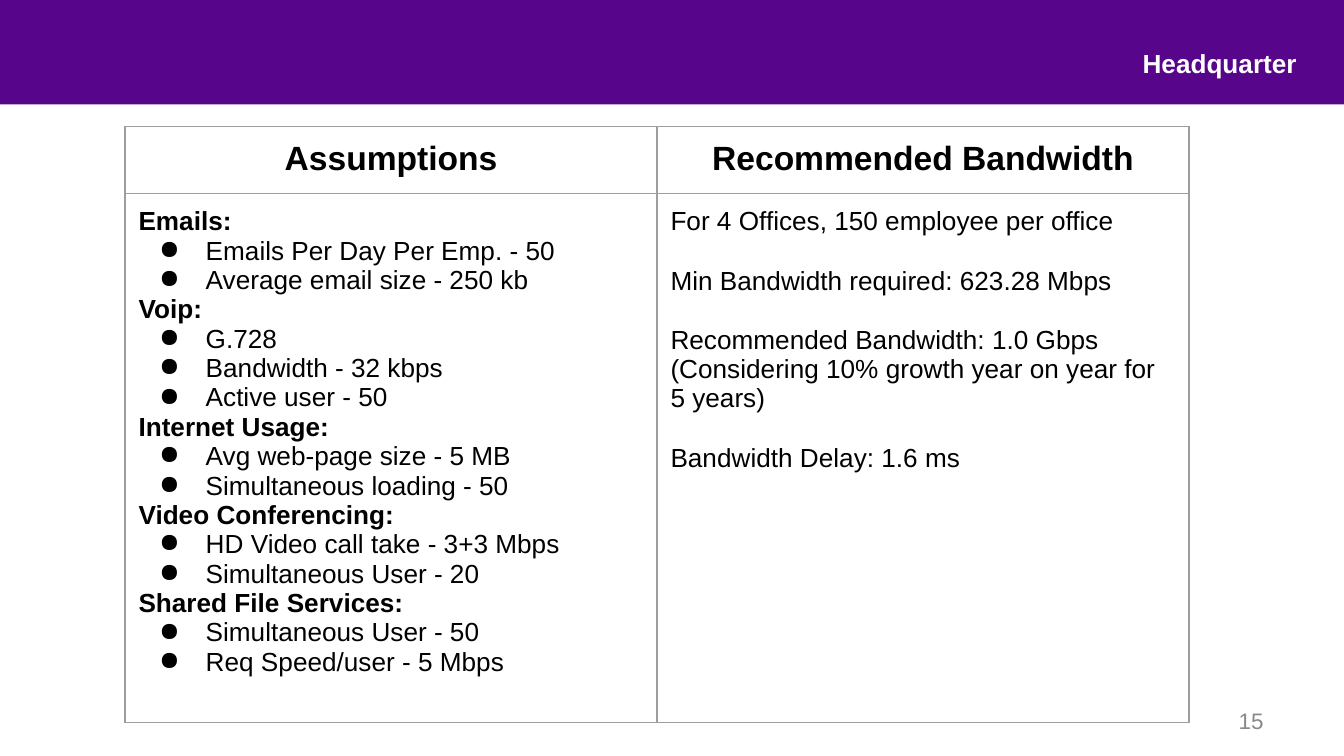
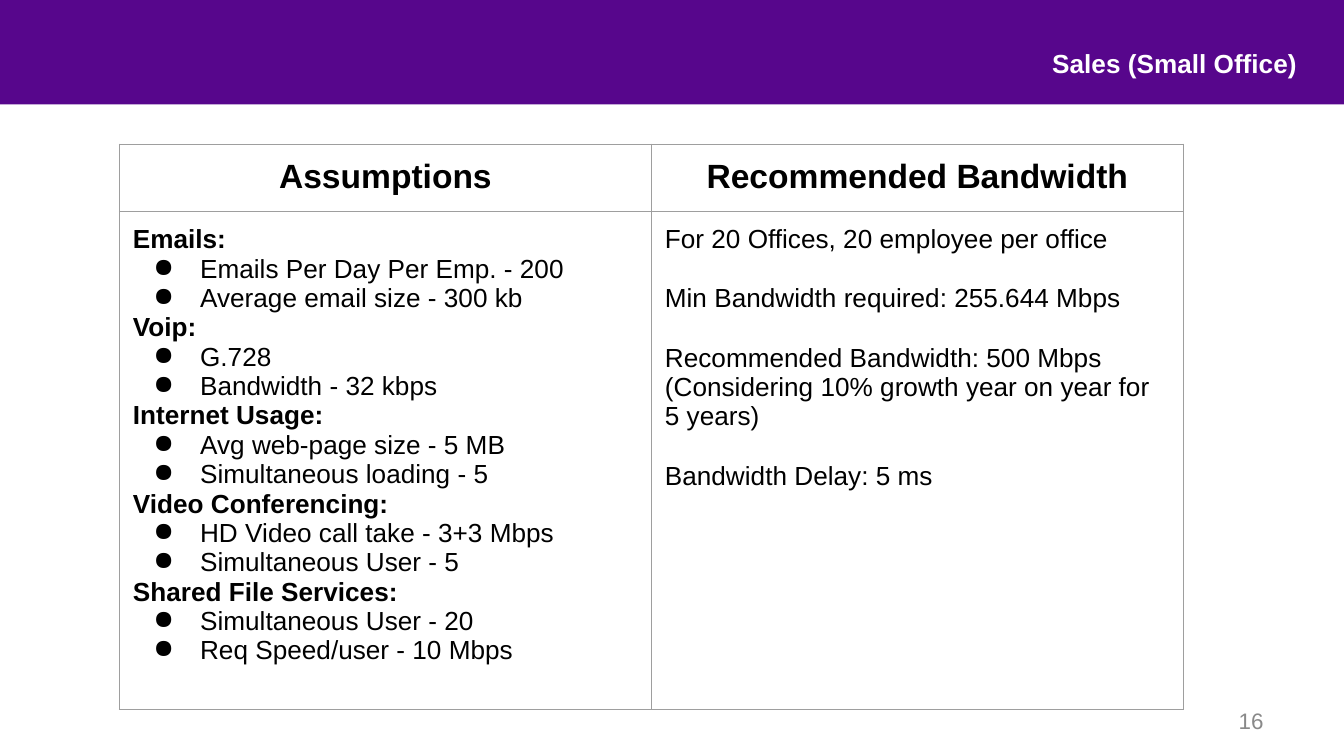
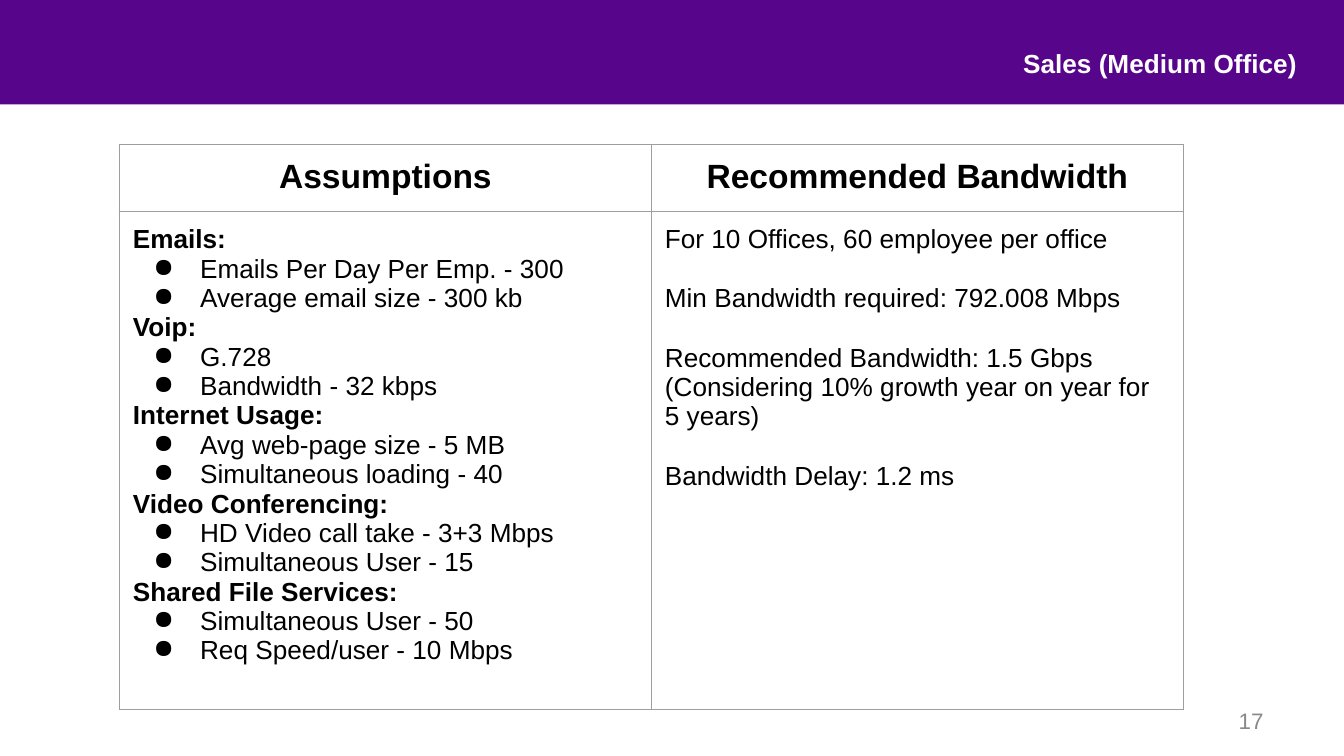
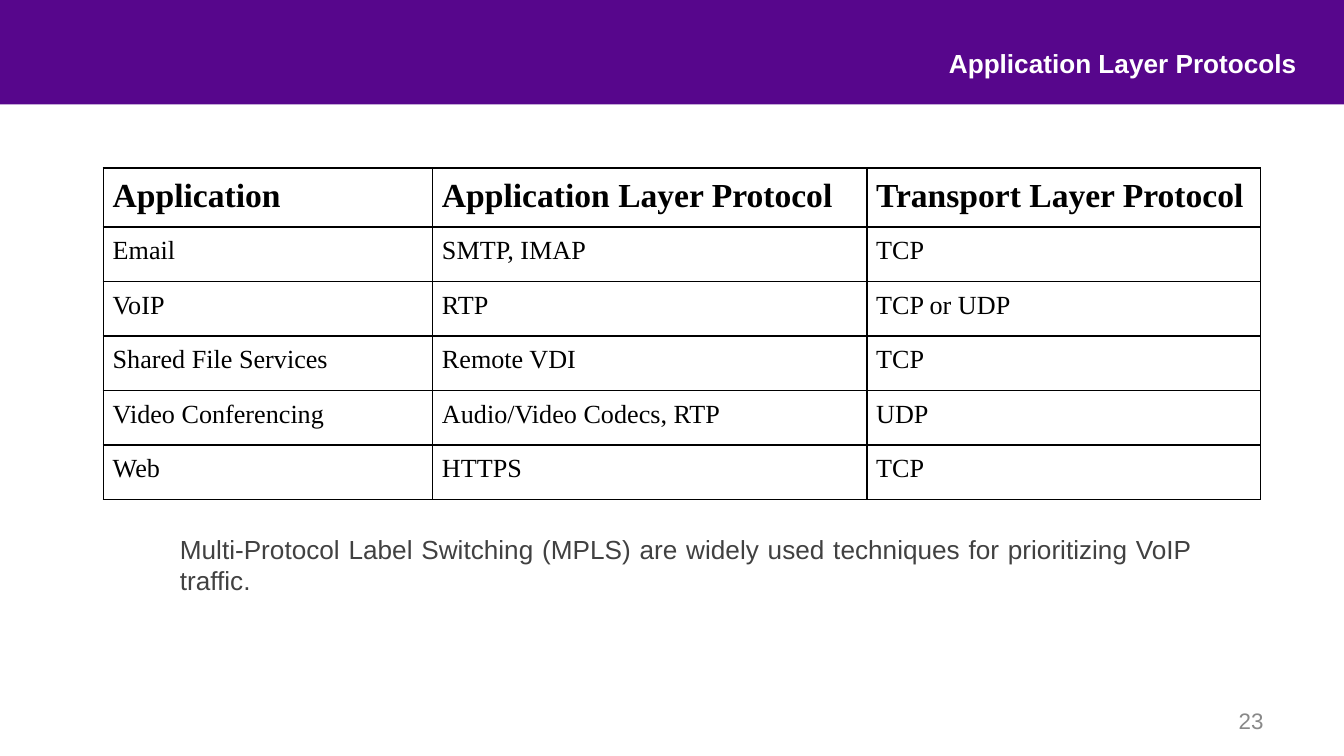
from lxml import etree
from pptx import Presentation
from pptx.dml import color as c
from pptx.enum import shapes, text
from pptx.oxml import ns
from pptx.util import Pt

PURPLE, WHITE, BLACK = "57068C", "FFFFFF", "000000"
NUMBER_GREY, NOTE_GREY, BORDER_GREY = "898989", "414141", "9E9E9E"
LEFT, CENTER = text.PP_ALIGN.LEFT, text.PP_ALIGN.CENTER
RIGHT, JUSTIFY = text.PP_ALIGN.RIGHT, text.PP_ALIGN.JUSTIFY

# Text styles: font, size, bold, colour, alignment, space before
STYLES = {
    "title": ("Arial", 14, True, WHITE, RIGHT, 0),
    "number": ("Arial", 12, False, NUMBER_GREY, RIGHT, 0),
    "note": ("Arial", 14, False, NOTE_GREY, JUSTIFY, 0),
    "header": ("Arial", 18, True, BLACK, CENTER, 0),
    "section": ("Arial", 14, True, BLACK, LEFT, 0),
    "bullet": ("Arial", 14, False, BLACK, LEFT, 0),
    "plain": ("Arial", 14, False, BLACK, LEFT, 0),
    "spaced": ("Arial", 14, False, BLACK, LEFT, 16),
    "protocol header": ("Times New Roman", 18, True, BLACK, JUSTIFY, 0),
    "protocol": ("Times New Roman", 14, False, BLACK, JUSTIFY, 0),
}


def rgb(hex_string):
    return c.RGBColor.from_string(hex_string)


def write(frame, lines, margin_x, margin_y, anchor=text.MSO_ANCHOR.TOP):
    """Fill a text frame or table cell with (style, text) lines."""
    frame_format = {"margin_left": Pt(margin_x), "margin_right": Pt(margin_x),
                    "margin_top": Pt(margin_y), "margin_bottom": Pt(margin_y),
                    "vertical_anchor": anchor, "word_wrap": True}
    for name, value in frame_format.items():
        setattr(frame, name, value)
    text_frame = getattr(frame, "text_frame", frame)
    for index, (style, words) in enumerate(lines):
        paragraph = text_frame.paragraphs[0] if index == 0 else text_frame.add_paragraph()
        font_name, size, bold, color, alignment, space = STYLES[style]
        paragraph.alignment = alignment
        paragraph.space_before = Pt(space)
        run = paragraph.add_run()
        run.text = words
        for name, value in {"name": font_name, "size": Pt(size), "bold": bold}.items():
            setattr(run.font, name, value)
        run.font.color.rgb = rgb(color)
        if style == "bullet":
            properties = paragraph._p.get_or_add_pPr()
            properties.set("marL", str(Pt(36)))
            properties.set("indent", str(-Pt(25)))
            bullet_color = etree.SubElement(properties, ns.qn("a:buClr"))
            etree.SubElement(bullet_color, ns.qn("a:srgbClr"), val=BLACK)
            etree.SubElement(properties, ns.qn("a:buChar"), char="●")


# Office slides: title, number, table place, assumptions, recommendation
offices = [
    ("Headquarter", 15, (67, 67.7),
     (50, 250, ["Active user - 50"], 50, 20, 50, 5),
     (4, 150, "623.28 Mbps", "1.0 Gbps", "1.6 ms")),
    ("Sales (Small Office)", 16, (64, 77.3),
     (200, 300, [], 5, 5, 20, 10),
     (20, 20, "255.644 Mbps", "500 Mbps", "5 ms")),
    ("Sales (Medium Office)", 17, (64, 77.3),
     (300, 300, [], 40, 15, 50, 10),
     (10, 60, "792.008 Mbps", "1.5 Gbps", "1.2 ms")),
]

pages = []
for title, number, place, assumptions, recommendation in offices:
    emails, email_size, voip_users, loading, callers, file_users, speed = assumptions
    count, employees, minimum, recommended, delay = recommendation
    sections = {
        "Emails:": [f"Emails Per Day Per Emp. - {emails}",
                    f"Average email size - {email_size} kb"],
        "Voip:": ["G.728", "Bandwidth - 32 kbps", *voip_users],
        "Internet Usage:": ["Avg web-page size - 5 MB", f"Simultaneous loading - {loading}"],
        "Video Conferencing:": ["HD Video call take - 3+3 Mbps",
                                f"Simultaneous User - {callers}"],
        "Shared File Services:": [f"Simultaneous User - {file_users}",
                                  f"Req Speed/user - {speed} Mbps"],
    }
    assumption_lines = []
    for section, items in sections.items():
        assumption_lines.append(("section", section))
        assumption_lines += [("bullet", item) for item in items]
    bandwidth_lines = [
        ("plain", f"For {count} Offices, {employees} employee per office"),
        ("spaced", f"Min Bandwidth required: {minimum}"),
        ("spaced", f"Recommended Bandwidth: {recommended}"),
        ("plain", "(Considering 10% growth year on year for 5 years)"),
        ("spaced", f"Bandwidth Delay: {delay}"),
    ]
    rows = [[[("header", "Assumptions")], [("header", "Recommended Bandwidth")]],
            [assumption_lines, bandwidth_lines]]
    pages.append((title, 276, number, place, [285, 285], 30, 7.2, (BORDER_GREY, 0.75), rows))

# Protocol slide
protocols = [
    ("Application", "Application Layer Protocol", "Transport Layer Protocol"),
    ("Email", "SMTP, IMAP", "TCP"),
    ("VoIP", "RTP", "TCP or UDP"),
    ("Shared File Services", "Remote VDI", "TCP"),
    ("Video Conferencing", "Audio/Video Codecs, RTP", "UDP"),
    ("Web", "HTTPS", "TCP"),
]
rows = [[[("protocol" if index else "protocol header", words)] for words in row]
        for index, row in enumerate(protocols)]
pages.append(("Application Layer Protocols", 216, 23, (55.4, 90), [176.4, 232.6, 211], 29.2,
              5, (BLACK, 1), rows))

presentation = Presentation()
presentation.slide_width, presentation.slide_height = Pt(720), Pt(405)
title_only = presentation.slide_layouts[5]

for title, title_width, number, place, widths, row_height, margin, border, rows in pages:
    slide = presentation.slides.add_slide(title_only)

    # Title, flush with the right end of the band
    shape = slide.shapes.title
    box = {"left": 702 - title_width, "top": 18, "width": title_width, "height": 21}
    for name, value in box.items():
        setattr(shape, name, Pt(value))
    write(shape.text_frame, [("title", title)], 7.2, 7.2)
    shape.text_frame.auto_size = text.MSO_AUTO_SIZE.NONE

    # Slide number
    shape = slide.shapes.add_textbox(Pt(516), Pt(375), Pt(168), Pt(21.6))
    write(shape.text_frame, [("number", str(number))], 7.2, 3.6, text.MSO_ANCHOR.MIDDLE)

    # Table
    left, top = place
    table = slide.shapes.add_table(len(rows), len(widths), Pt(left), Pt(top),
                                   Pt(sum(widths)), Pt(row_height * len(rows))).table
    table.first_row = table.horz_banding = False
    for column, width in zip(table.columns, widths):
        column.width = Pt(width)
    border_color, border_width = border
    for table_row, row in zip(table.rows, rows):
        table_row.height = Pt(row_height)
        for cell, lines in zip(table_row.cells, row):
            write(cell, lines, margin, margin)
            cell.fill.background()
            properties = cell._tc.get_or_add_tcPr()
            for index, side in enumerate(("lnL", "lnR", "lnT", "lnB")):
                line = etree.Element(ns.qn(f"a:{side}"), w=str(Pt(border_width)))
                fill = etree.SubElement(line, ns.qn("a:solidFill"))
                etree.SubElement(fill, ns.qn("a:srgbClr"), val=border_color)
                properties.insert(index, line)

# Note below the protocol table
shape = slide.shapes.add_textbox(Pt(89.3), Pt(278.6), Pt(556.6), Pt(84.2))
write(shape.text_frame, [("note", "Multi-Protocol Label Switching (MPLS) are widely used "
                          "techniques for prioritizing VoIP traffic.")], 7.2, 7.2)

# Title band, moved to the master so that all slides share it
band = slide.shapes.add_shape(shapes.MSO_SHAPE.RECTANGLE, 0, 0, Pt(720.7), Pt(56))
band.shadow.inherit = False
band.fill.solid()
band.fill.fore_color.rgb = rgb(PURPLE)
band.line.fill.background()
band._element.nvSpPr.cNvPr.set("id", "99")
presentation.slide_master.shapes._spTree.insert(2, band._element)

presentation.save("out.pptx")
